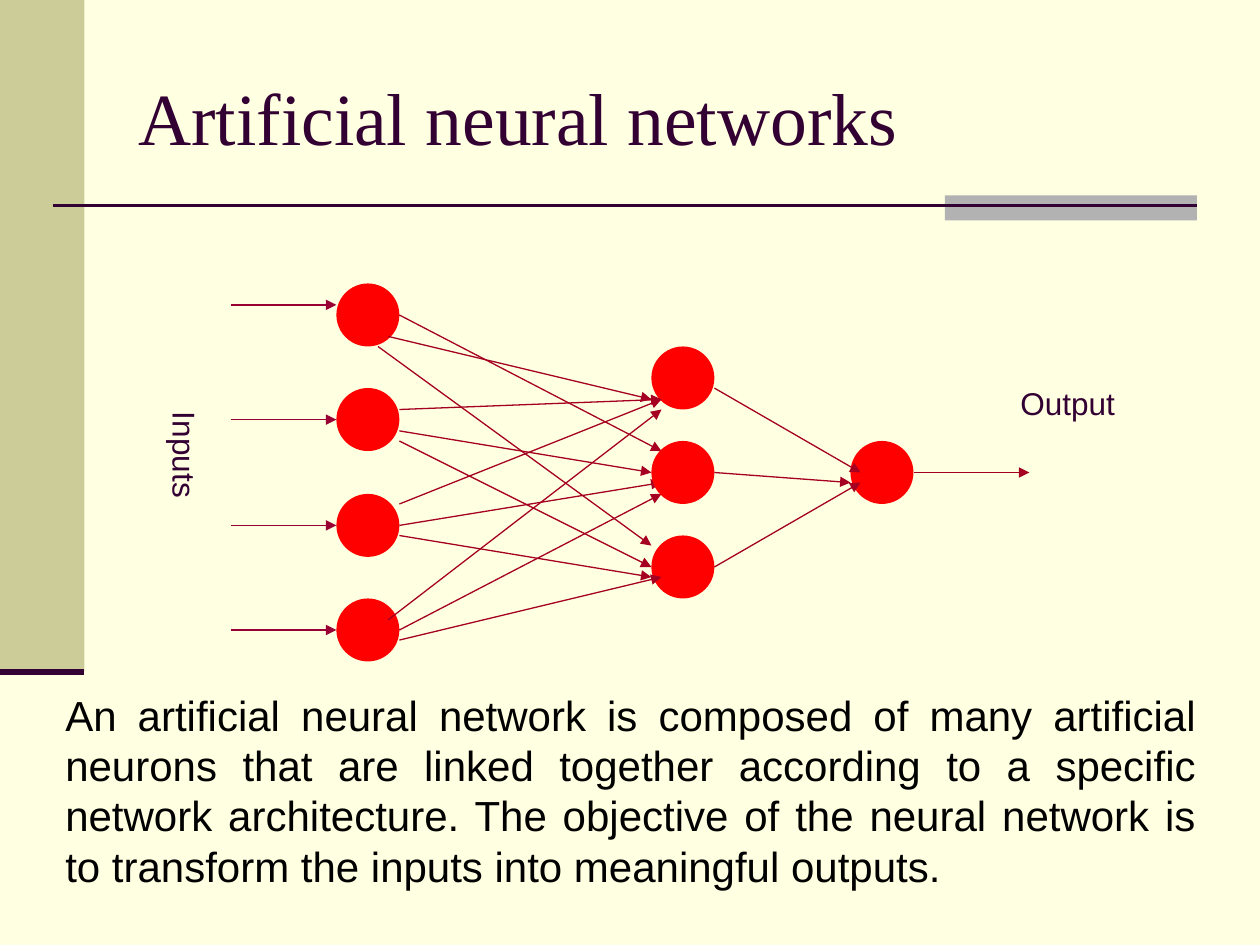
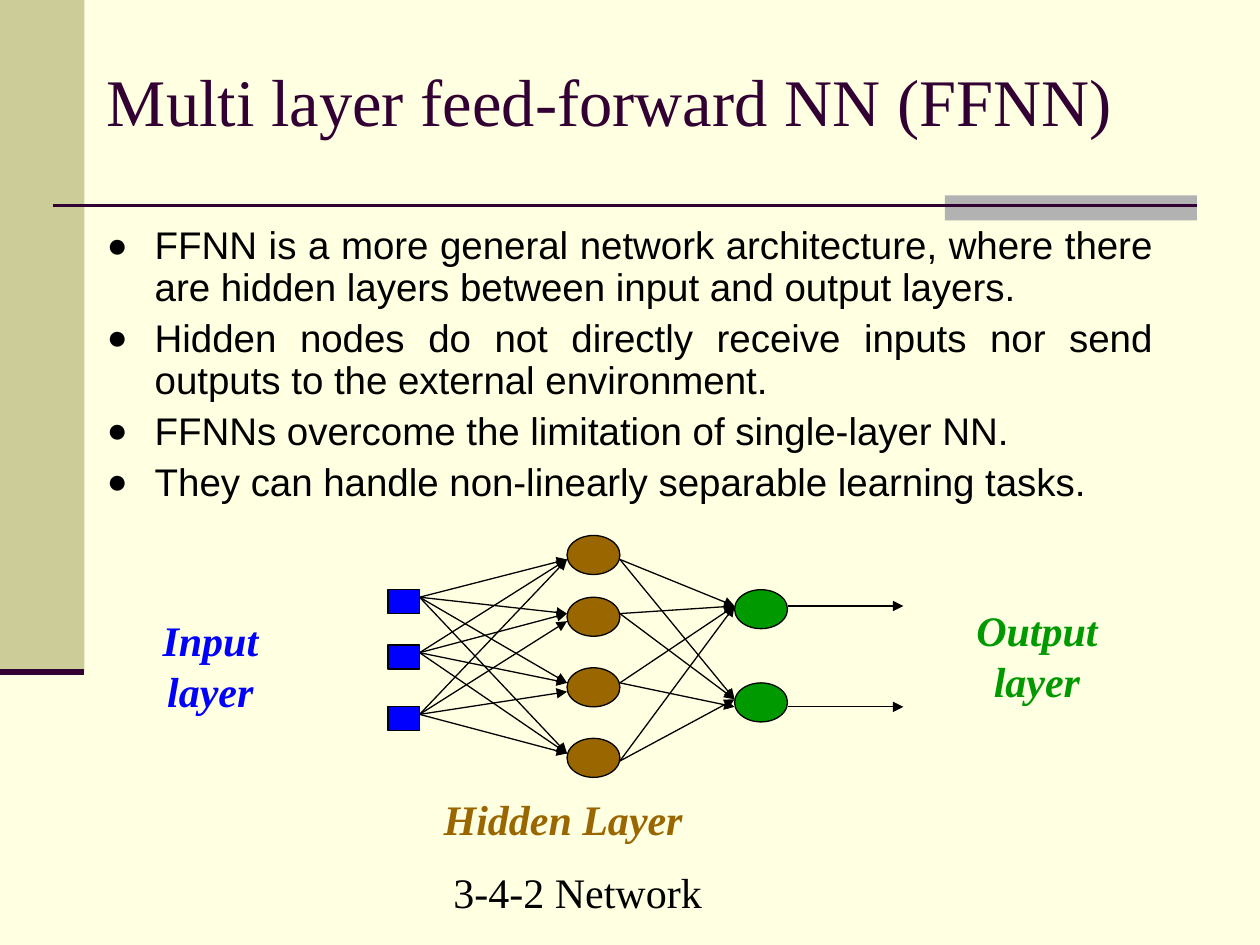
"""Build two slides on neural networks."""
from dataclasses import dataclass

import pptx
import pptx.util
import pptx.dml.color
import pptx.enum.shapes
import pptx.enum.text
import pptx.oxml
import pptx.oxml.ns
from lxml import etree

Inches = pptx.util.Inches
Pt = pptx.util.Pt
Kind = pptx.enum.shapes.MSO_SHAPE
Align = pptx.enum.text.PP_ALIGN
Anchor = pptx.enum.text.MSO_ANCHOR
qn = pptx.oxml.ns.qn


@dataclass(frozen=True)
class Theme:
    paper: str = "FFFFE1"
    band: str = "CCCC99"
    tab: str = "B2B2B2"
    plum: str = "330033"
    black: str = "000000"
    red: str = "FF0000"
    crimson: str = "A50021"
    wine: str = "990033"
    blue: str = "0000FF"
    brown: str = "996600"
    green: str = "009900"
    serif: str = "Times New Roman"
    sans: str = "Arial"
    title: int = 42
    compact: int = 38
    large: int = 24
    body: int = 22
    small: int = 18
    thin: float = 0.75
    rule: float = 1.5
    thick: float = 3.5


def color(code):
    return pptx.dml.color.RGBColor.from_string(code)


class Deck:
    def __init__(self, theme):
        self.theme = theme
        self.file = pptx.Presentation()
        self.file.slide_width = Inches(10)
        self.file.slide_height = Inches(7.5)
        self.slide = None

    def start(self, title, box, size):
        theme = self.theme
        self.slide = self.file.slides.add_slide(self.file.slide_layouts[6])
        fill = self.slide.background.fill
        fill.solid()
        fill.fore_color.rgb = color(theme.paper)
        self.shape(Kind.RECTANGLE, (0, 0, 0.67, 5.33), theme.band)
        self.shape(Kind.RECTANGLE, (7.5, 1.55, 2, 0.2), theme.tab)
        self.line((0.42, 1.63), (9.5, 1.63), theme.plum, theme.rule)
        self.line((0, 5.33), (0.67, 5.33), theme.plum, theme.thick)
        frame = self.text(title, box, size, theme.plum, theme.serif)
        frame.vertical_anchor = Anchor.MIDDLE

    def shape(self, kind, box, fill, edge=None):
        item = self.slide.shapes.add_shape(kind, *map(Inches, box))
        item.shadow.inherit = False
        item.fill.solid()
        item.fill.fore_color.rgb = color(fill)
        if edge:
            item.line.color.rgb = color(edge)
            item.line.width = Pt(self.theme.thin)
        else:
            item.line.fill.background()

    def line(self, start, end, tint, width):
        item = self.slide.shapes.add_connector(
            pptx.enum.shapes.MSO_CONNECTOR.STRAIGHT, *map(Inches, start + end))
        item.line.color.rgb = color(tint)
        item.line.width = Pt(width)
        etree.SubElement(item._element.spPr, qn("a:effectLst"))
        return item

    def arrow(self, start, end, tint):
        item = self.line(start, end, tint, self.theme.thin)
        etree.SubElement(item.line._get_or_add_ln(), qn("a:tailEnd"), type="triangle")

    def links(self, left, right, routes, tint):
        for top, ends in routes:
            for end in ends:
                self.arrow((left, top), (right, end), tint)

    def text(self, words, box, size, tint, font, align=Align.LEFT,
             strong=False, wrap=True):
        frame = self.slide.shapes.add_textbox(*map(Inches, box)).text_frame
        frame.word_wrap = wrap
        frame.text = words
        for part in frame.paragraphs:
            part.alignment = align
            for run in part.runs:
                run.font.name = font
                run.font.size = Pt(size)
                run.font.color.rgb = color(tint)
                run.font.bold = run.font.italic = strong
        return frame

    def label(self, words, box, tint):
        self.text(words, box, self.theme.large, tint, self.theme.serif,
                  Align.CENTER, strong=True, wrap=False)

    def bullets(self, items, box):
        theme = self.theme
        frame = self.text("\n".join(items), box, theme.body, theme.black,
                          theme.sans, Align.JUSTIFY)
        for index, part in enumerate(frame.paragraphs):
            props = part._p.get_or_add_pPr()
            props.set("marL", str(Inches(0.38)))
            props.set("indent", str(-Inches(0.38)))
            tint = etree.SubElement(props, qn("a:buClr"))
            etree.SubElement(tint, qn("a:srgbClr"), val=theme.black)
            etree.SubElement(props, qn("a:buSzPct"), val="90000")
            etree.SubElement(props, qn("a:buFont"), typeface=theme.sans)
            etree.SubElement(props, qn("a:buChar"), char="●")
            part.line_spacing = 0.9
            part.space_before = Pt(5.5 if index else 0)


def basics(deck):
    theme = deck.theme
    deck.start("Artificial neural networks", (1, 0.3, 8.5, 1.25), theme.title)

    def nodes(left, tops):
        for top in tops:
            deck.shape(Kind.OVAL, (left, top, 0.5, 0.5), theme.red)

    def joins(pairs):
        for start, end in pairs:
            deck.arrow(start, end, theme.crimson)

    nodes(2.67, (2.25, 3.08, 3.92, 4.75))
    joins([
        ((3.17, 2.5), (5.25, 3.58)),
        ((3.17, 3.42), (5.17, 3.75)),
        ((3.17, 4.17), (5.25, 3.83)),
        ((3.17, 5), (5.25, 3.92)),
    ])
    nodes(5.17, (2.75, 3.5, 4.25))
    joins([
        ((3.08, 2.67), (5.17, 3.17)),
        ((3, 2.75), (5.17, 4.33)),
        ((3.17, 3.25), (5.25, 3.17)),
        ((3.17, 3.5), (5.17, 4.5)),
        ((3.17, 4), (5.25, 3.17)),
        ((3.17, 4.25), (5.17, 4.58)),
        ((3.08, 4.92), (5.25, 3.25)),
        ((3.17, 5.08), (5.25, 4.58)),
    ])
    nodes(6.75, (3.5,))
    joins([
        ((5.67, 3.08), (6.83, 3.75)),
        ((5.67, 3.75), (6.75, 3.83)),
        ((5.67, 4.5), (6.83, 3.83)),
        ((7.25, 3.75), (8.17, 3.75)),
    ])
    for top in (2.42, 3.33, 4.17, 5):
        deck.arrow((1.83, top), (2.67, top), theme.wine)

    frame = deck.text("Inputs", (1.17, 3.17, 0.5, 1.67), theme.small,
                      theme.plum, theme.sans, Align.CENTER)
    frame._txBody.bodyPr.set("vert", "eaVert")
    frame.margin_left = frame.margin_right = Inches(0.05)
    frame.margin_top = frame.margin_bottom = Inches(0.1)
    deck.text("Output", (8, 3, 1.33, 0.4), theme.small, theme.plum, theme.sans)
    deck.text("An artificial neural network is composed of many artificial "
              "neurons that are linked together according to a specific "
              "network architecture. The objective of the neural network is "
              "to transform the inputs into meaningful outputs.",
              (0.42, 5.42, 9.17, 1.7), theme.large, theme.black, theme.sans,
              Align.JUSTIFY)


def layers(deck):
    theme = deck.theme
    deck.start("Multi layer feed-forward NN (FFNN)", (0.75, 0.42, 8.75, 0.75),
               theme.compact)
    deck.bullets([
        "FFNN is a more general network architecture, where there are hidden "
        "layers between input and output layers.",
        "Hidden nodes do not directly receive inputs nor send outputs to the "
        "external environment.",
        "FFNNs overcome the limitation of single-layer NN.",
        "They can handle non-linearly separable learning tasks.",
    ], (0.75, 1.75, 8.5, 2.58))
    deck.label("Input\nlayer", (1.19, 4.83, 0.96, 0.9), theme.blue)
    deck.label("Output\nlayer", (7.65, 4.75, 1.16, 0.9), theme.green)
    deck.label("Hidden Layer", (3.42, 6.25, 2.1, 0.5), theme.brown)

    for kind, left, tops, size, fill in (
            (Kind.OVAL, 4.5, (4.25, 4.74, 5.3, 5.86), (0.42, 0.31), theme.brown),
            (Kind.RECTANGLE, 3.08, (4.68, 5.12, 5.61), (0.25, 0.19), theme.blue),
            (Kind.OVAL, 5.83, (4.68, 5.42), (0.42, 0.31), theme.green)):
        for top in tops:
            deck.shape(kind, (left, top, *size), fill, theme.black)

    hidden = (4.44, 4.87, 5.42, 5.98)
    outer = (4.81, 5.55)
    deck.links(3.33, 4.5, [(4.74, hidden), (5.18, hidden),
                           (5.67, (4.44, 4.93, 5.49, 5.98))], theme.black)
    deck.links(4.92, 5.83, [(4.44, outer), (4.87, outer),
                            (5.42, (4.81, 5.61)), (6.04, outer)], theme.black)
    deck.links(6.25, 7.17, [(4.81, (4.81,)), (5.61, (5.61,))], theme.black)
    deck.text("3-4-2 Network", (3.5, 6.83, 2.5, 0.5), theme.large,
              theme.black, theme.serif)


def main():
    deck = Deck(Theme())
    basics(deck)
    layers(deck)
    deck.file.save("out.pptx")


if __name__ == "__main__":
    main()
